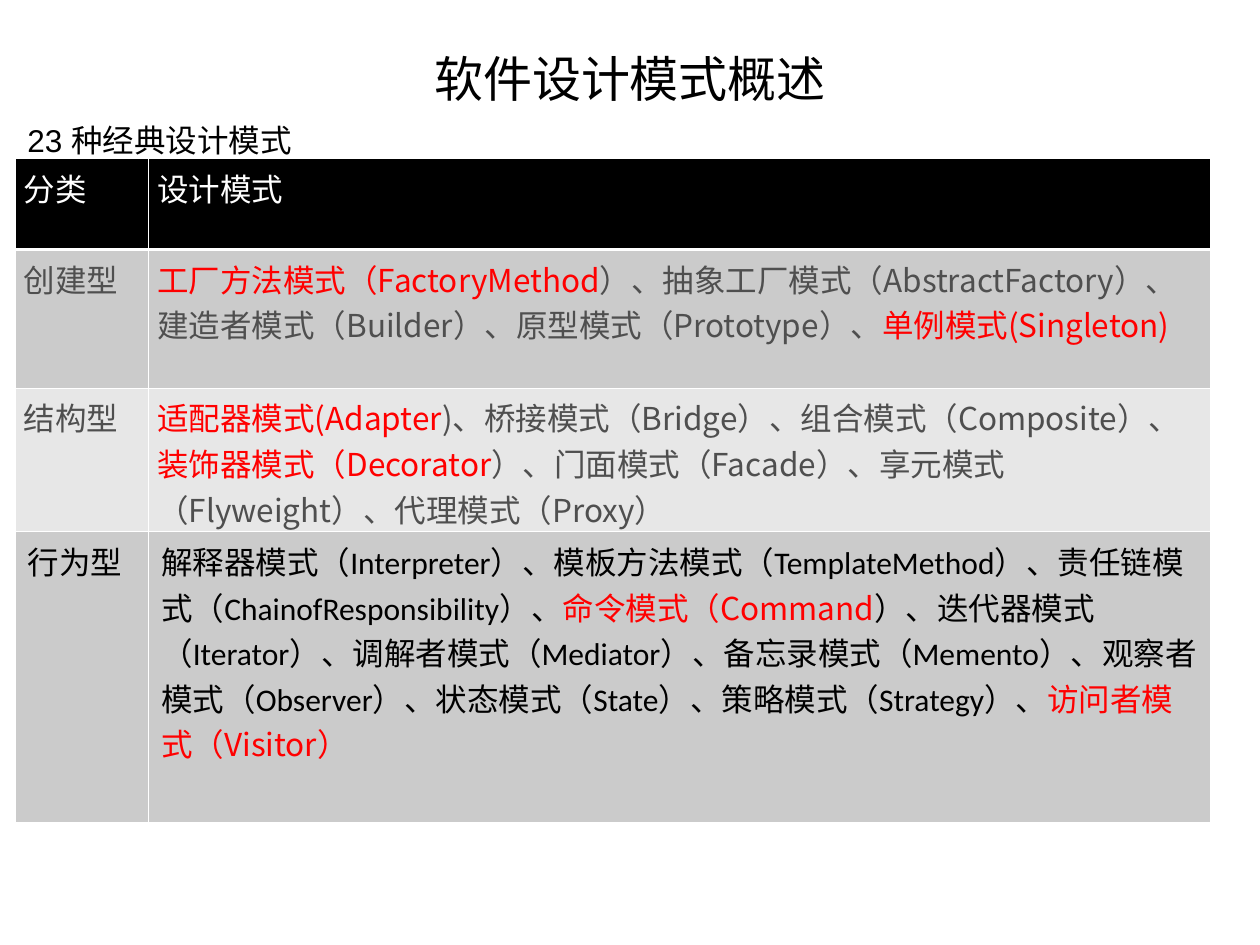
from lxml.etree import SubElement
from pptx import Presentation
from pptx.dml.color import RGBColor
from pptx.enum.text import MSO_ANCHOR as Anchor, PP_ALIGN as Align
from pptx.oxml import parse_xml
from pptx.oxml.ns import nsdecls, qn
from pptx.util import Inches, Pt

CJK, LATIN = "Noto Sans CJK SC", "Calibri"
BLACK, WHITE, RED, GRAY = "000000", "FFFFFF", "FF0000", "4F4F4F"
DARK_BAND, LIGHT_BAND = "CBCBCB", "E7E7E7"
COL_WIDTHS = [1.06, 8.43]

# Each row: height, fill, side inset, plain colour, plain font, cells of text pieces; odd pieces are red.
ROWS = [
    (0.72, BLACK, 0.07, WHITE, CJK, [["分类"], ["设计模式"]]),
    (1.1, DARK_BAND, 0.07, GRAY, CJK, [
        ["创建型"],
        ["", "工厂方法模式（FactoryMethod",
         "）、抽象工厂模式（AbstractFactory）、建造者模式（Builder）、原型模式（Prototype）、",
         "单例模式(Singleton)"]]),
    (1.14, LIGHT_BAND, 0.07, GRAY, CJK, [
        ["结构型"],
        ["", "适配器模式(Adapter", ")、桥接模式（Bridge）、组合模式（Composite）、",
         "装饰器模式（Decorator", "）、门面模式（Facade）、享元模式（Flyweight）、代理模式（Proxy）"]]),
    (2.31, DARK_BAND, 0.1, BLACK, LATIN, [
        ["行为型"],
        ["解释器模式（Interpreter）、模板方法模式（TemplateMethod）、责任链模式（ChainofResponsibility）、",
         "命令模式（Command",
         "）、迭代器模式（Iterator）、调解者模式（Mediator）、备忘录模式（Memento）、"
         "观察者模式（Observer）、状态模式（State）、策略模式（Strategy）、",
         "访问者模式（Visitor）"]]),
]


def rgb(color):
    """Turn a hex string into a colour."""
    return RGBColor.from_string(color)


def add_run(p, text, size, font, color):
    """Append a run with its Latin and East Asian fonts."""
    r = p.add_run()
    r.text = text
    r.font.size, r.font.bold, r.font.name = Pt(size), False, font
    r.font.color.rgb = rgb(color)
    SubElement(r.font._element, qn("a:ea")).set("typeface", CJK)


def add_label(s, box, text, size, font, align=Align.LEFT, anchor=Anchor.TOP):
    """Place one line of black text in a box."""
    tf = s.shapes.add_textbox(*map(Inches, box)).text_frame
    tf.word_wrap = True
    tf.vertical_anchor = anchor
    tf.paragraphs[0].alignment = align
    add_run(tf.paragraphs[0], text, size, font, BLACK)


def set_borders(cell, top, bottom):
    """Draw white cell borders with the given top and bottom widths."""
    tc_pr = cell._tc.get_or_add_tcPr()
    for i, (side, width) in enumerate(zip("LRTB", (0.45, 0.45, top, bottom))):
        tc_pr.insert(i, parse_xml(
            f'<a:ln{side} {nsdecls("a")} w="{Pt(width)}"><a:solidFill>'
            f'<a:srgbClr val="{WHITE}"/></a:solidFill></a:ln{side}>'))


def add_pattern_table(s, box):
    """Place the table of design patterns in a box."""
    table = s.shapes.add_table(len(ROWS), len(COL_WIDTHS), *map(Inches, box)).table
    for col, width in zip(table.columns, COL_WIDTHS):
        col.width = Inches(width)
    for i, (height, fill, inset, color, font, cells) in enumerate(ROWS):
        table.rows[i].height = Inches(height)
        for j, pieces in enumerate(cells):
            cell = table.cell(i, j)
            cell.margin_left = cell.margin_right = Inches(inset)
            cell.fill.solid()
            cell.fill.fore_color.rgb = rgb(fill)
            set_borders(cell, 1.47 if i == 1 else 0.45, 1.47 if i == 0 else 0.45)
            for k, text in enumerate(pieces):
                style = (CJK, RED) if k % 2 else (font, color)
                if text:
                    add_run(cell.text_frame.paragraphs[0], text, 18, *style)


def main():
    """Build and save the slide."""
    prs = Presentation()
    prs.slide_width, prs.slide_height = Inches(10), Inches(7.5)
    s = prs.slides.add_slide(prs.slide_layouts[6])
    add_label(s, (0.5, 0.3, 9, 0.64), "软件设计模式概述", 28, CJK, Align.CENTER, Anchor.MIDDLE)
    add_label(s, (0.12, 0.91, 10, 0.7), "23 种经典设计模式", 18, "Arial")
    add_pattern_table(s, (0.12, 1.26, sum(COL_WIDTHS), sum(row[0] for row in ROWS)))
    prs.save("out.pptx")


if __name__ == "__main__":
    main()
